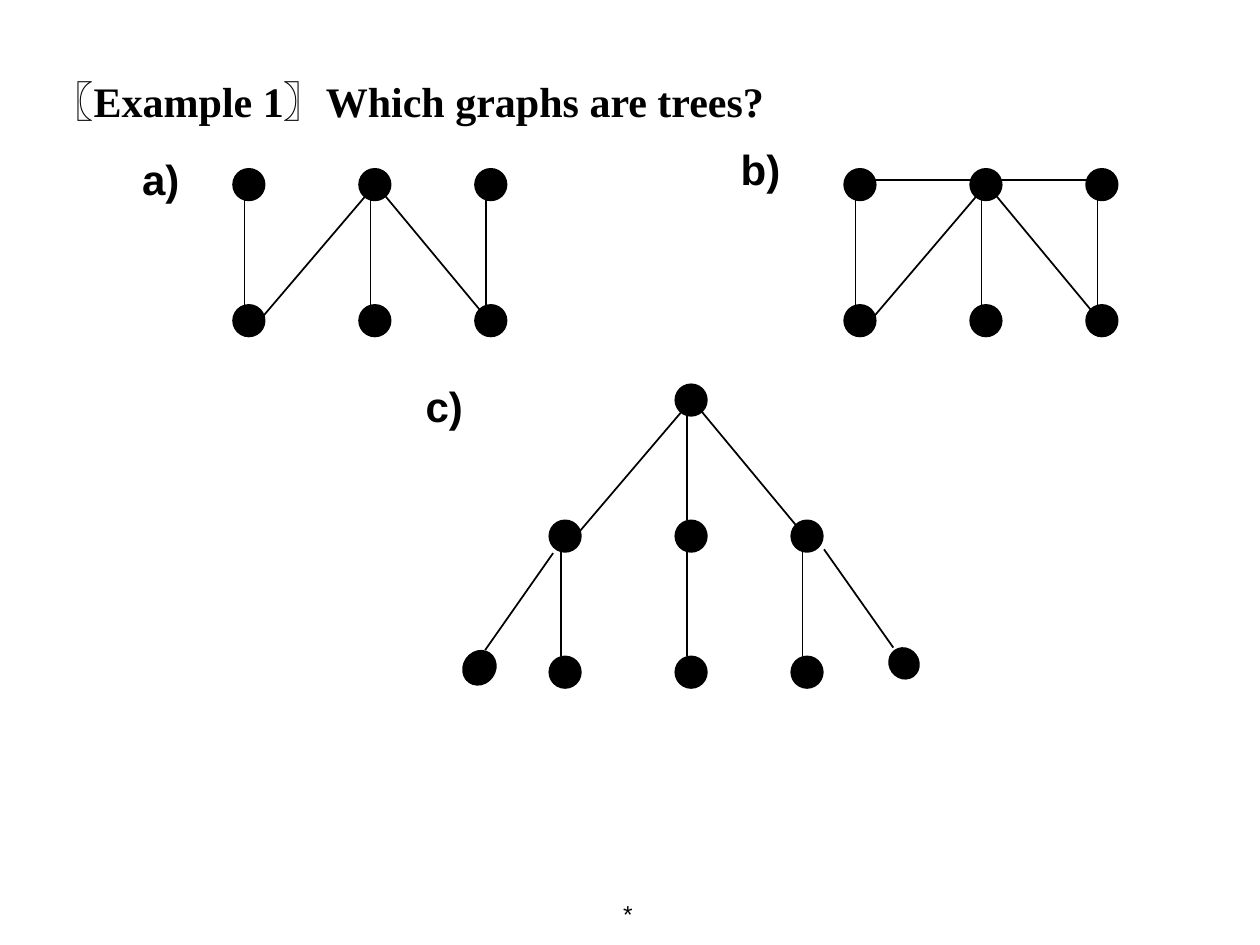
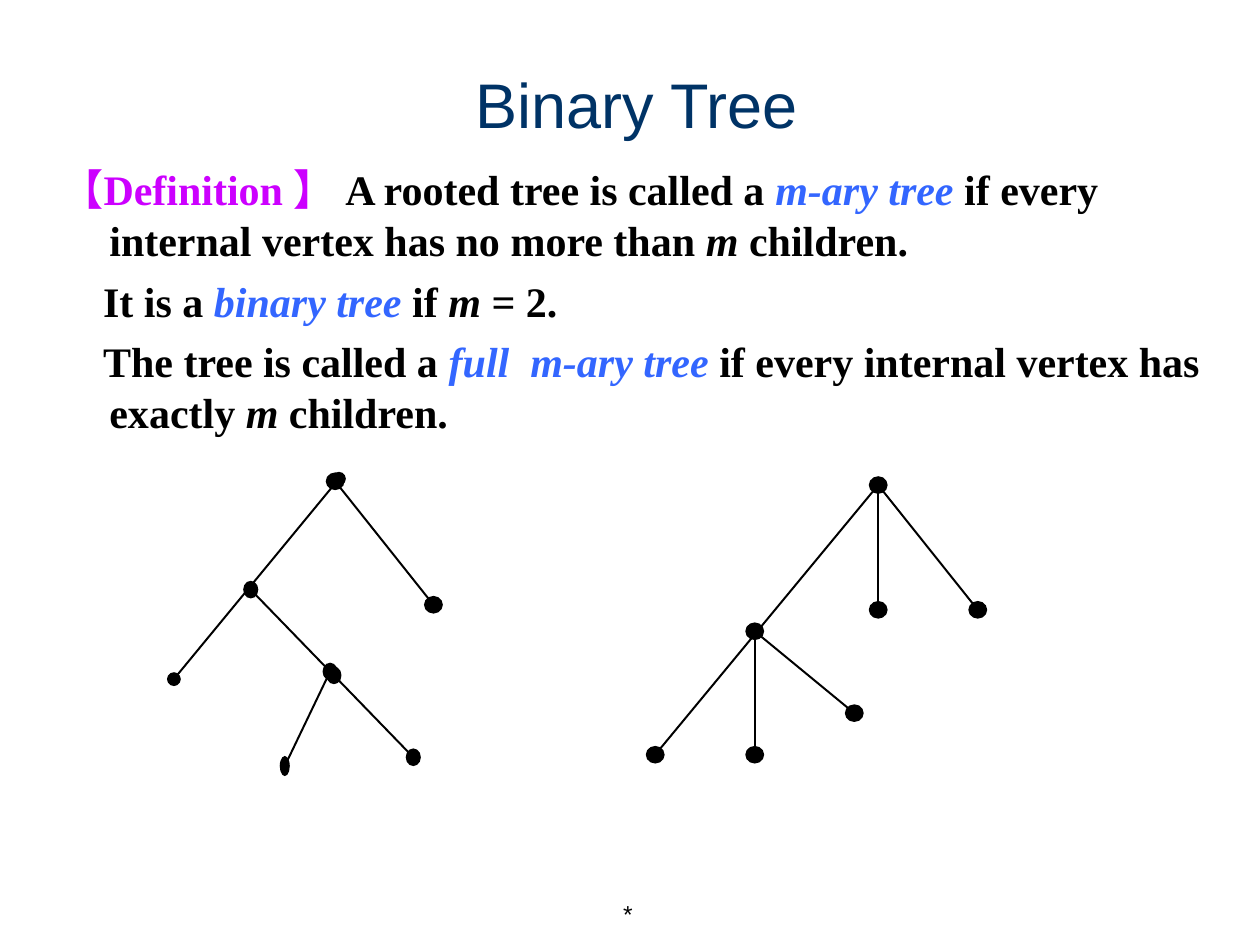
import pptx
import pptx.util
import pptx.dml.color
import pptx.enum.text
import pptx.enum.shapes
import lxml.etree

Inches = pptx.util.Inches
Pt = pptx.util.Pt
Align = pptx.enum.text.PP_ALIGN
Anchor = pptx.enum.text.MSO_ANCHOR
Fit = pptx.enum.text.MSO_AUTO_SIZE
Shape = pptx.enum.shapes.MSO_SHAPE
Line = pptx.enum.shapes.MSO_CONNECTOR

DRAW = "http://schemas.openxmlformats.org/drawingml/2006/main"
SANS, SERIF = "Arial", "Times New Roman"
BLACK, NAVY, PINK, BLUE = "000000", "003366", "CC00FF", "3366FF"
DOT = 0.25
COLS = (0, 1, 1.92)
STEP = 1.08


def paint(value):
    return pptx.dml.color.RGBColor.from_string(value)


def style(font, size, face, color=BLACK, bold=False, slant=False):
    font.size, font.name = Pt(size), face
    font.bold, font.italic = bold, slant
    font.color.rgb = paint(color)


def place(shape, left, top, width, height):
    shape.left, shape.top = Inches(left), Inches(top)
    shape.width, shape.height = Inches(width), Inches(height)


def write(slide, box, text, size, bold=False, align=Align.LEFT):
    frame = slide.shapes.add_textbox(*map(Inches, box)).text_frame
    frame.word_wrap = False
    frame.text = text
    frame.paragraphs[0].alignment = align
    style(frame.paragraphs[0].runs[0].font, size, SANS, bold=bold)
    return frame


def begin(deck, text, box, size, face, color, bold, align):
    slide = deck.slides.add_slide(deck.slide_layouts[5])
    title = slide.shapes.title
    place(title, *box)
    frame = title.text_frame
    frame.text = text
    frame.auto_size = Fit.NONE
    frame.word_wrap = True
    frame.vertical_anchor = Anchor.TOP
    frame.paragraphs[0].alignment = align
    style(frame.paragraphs[0].runs[0].font, size, face, color, bold)
    foot = write(slide, (4.45, 7, 0.67, 0.5), "*", 14, align=Align.RIGHT)
    foot.vertical_anchor = Anchor.MIDDLE
    return slide


class Sketch:
    def __init__(self, slide, left, top):
        self.shapes = slide.shapes.add_group_shape().shapes
        self.left, self.top = left, top

    def dot(self, x, y, width=DOT, height=DOT, edge=1, turn=0):
        oval = self.shapes.add_shape(
            Shape.OVAL, Inches(self.left + x), Inches(self.top + y),
            Inches(width), Inches(height))
        oval.shadow.inherit = False
        oval.rotation = turn
        oval.fill.solid()
        oval.fill.fore_color.rgb = paint(BLACK)
        if edge:
            oval.line.color.rgb = paint(BLACK)
            oval.line.width = Pt(edge)
        else:
            oval.line.fill.background()

    def link(self, start, end, width=1):
        (x1, y1), (x2, y2) = start, end
        line = self.shapes.add_connector(
            Line.STRAIGHT, Inches(self.left + x1), Inches(self.top + y1),
            Inches(self.left + x2), Inches(self.top + y2))
        line.line.color.rgb = paint(BLACK)
        line.line.width = Pt(width)
        lxml.etree.SubElement(line._element.spPr, f"{{{DRAW}}}effectLst")

    def drop(self, x, y):
        self.link((x + 0.09, y + DOT), (x + 0.09, y + STEP))

    def fork(self):
        self.link((1.17, 0.17), (2, 1.17))
        self.link((1.09, 0.17), (0.17, 1.25))


def comb(slide, left, top, bar=False):
    sketch = Sketch(slide, left, top)
    for x in COLS:
        sketch.drop(x, 0)
        for row in range(2):
            sketch.dot(x, row * STEP)
    sketch.fork()
    if bar:
        sketch.link((0.16, 0.09), (2, 0.09))


def crown(slide, left, top):
    sketch = Sketch(slide, left, top)
    sketch.dot(COLS[1], 0)
    sketch.drop(COLS[1], 0)
    sketch.fork()
    for x in COLS:
        sketch.drop(x, STEP)
        for row in (1, 2):
            sketch.dot(x, row * STEP)
    sketch.link((0.03, 1.34), (-0.51, 2.11))
    sketch.dot(-0.68, 2.11, 0.25, 0.28, turn=35.2)
    sketch.link((2.18, 1.31), (2.73, 2.09))
    sketch.dot(2.7, 2.09, 0.23, 0.25, turn=324.8)


def tree(slide, left, top, dots, links):
    sketch = Sketch(slide, left, top)
    for start, end in links:
        sketch.link(dots[start][:2], dots[end][:2], 1.13)
    for x, y, width, height in dots:
        sketch.dot(x - width / 2, y - height / 2, width, height, edge=0)


def prose(slide, box, parts):
    frame = slide.shapes.add_textbox(*map(Inches, box)).text_frame
    frame.word_wrap = True
    for index, (indent, runs) in enumerate(parts):
        para = frame.add_paragraph() if index else frame.paragraphs[0]
        if index:
            para.space_before = Pt(6)
        props = para._p.get_or_add_pPr()
        props.set("marL", str(Inches(0.38)))
        props.set("indent", str(Inches(indent)))
        for text, color, slant in runs:
            run = para.add_run()
            run.text = text
            style(run.font, 24, SERIF, color, True, slant)


def graphs(deck):
    slide = begin(deck, "〖Example 1〗Which graphs are trees?",
                  (0.31, 0.55, 9, 0.54), 24, SERIF, BLACK, True, Align.LEFT)
    comb(slide, 1.85, 1.34)
    comb(slide, 6.7, 1.34, bar=True)
    crown(slide, 4.36, 3.05)
    for text, left, top in (("a)", 1.03, 1.17), ("b)", 5.78, 1.09),
                            ("c)", 3.28, 2.97)):
        write(slide, (left, top, 0.7, 0.5), text, 24, bold=True)


def binary(deck):
    slide = begin(deck, "Binary Tree", (0.55, 0.47, 9, 0.77),
                  36, SANS, NAVY, False, Align.CENTER)
    prose(slide, (0.39, 1.25, 9.26, 2.28), (
        (-0.38, (("【Definition 】 ", PINK, False),
                 ("A rooted tree is called a ", BLACK, False),
                 ("m-ary tree ", BLUE, True),
                 ("if every internal vertex has no more than ", BLACK, False),
                 ("m", BLACK, True),
                 (" children.", BLACK, False))),
        (-0.05, (("It is a ", BLACK, False),
                 ("binary tree ", BLUE, True),
                 ("if ", BLACK, False),
                 ("m", BLACK, True),
                 (" = 2.", BLACK, False))),
        (-0.05, (("The tree is called a ", BLACK, False),
                 ("full  m-ary tree ", BLUE, True),
                 ("if every internal vertex has exactly ", BLACK, False),
                 ("m", BLACK, True),
                 (" children.", BLACK, False)))))
    small, wide, slim = (0.11, 0.11), (0.15, 0.14), (0.12, 0.14)
    spots = ((1.84, 0.07), (0.07, 2.21), (1.84, 1.06), (2.63, 1.06),
             (0.86, 1.23), (0.86, 2.21), (1.65, 1.88))
    tree(slide, 5.13, 3.78, [spot + wide for spot in spots],
         ((0, 1), (0, 2), (0, 3), (4, 5), (4, 6)))
    tree(slide, 1.33, 3.75,
         ((1.36, 0.05, *small), (0.05, 1.64, *small),
          (1.33, 0.07, *wide), (2.11, 1.05, *wide),
          (0.66, 0.93, *slim), (1.29, 1.58, *slim),
          (1.32, 1.61, *slim), (1.95, 2.26, *slim),
          (0.93, 2.33, 0.08, 0.16)),
         ((0, 1), (2, 3), (4, 5), (6, 7), (5, 8)))


def main():
    deck = pptx.Presentation()
    deck.slide_width, deck.slide_height = Inches(10), Inches(7.5)
    graphs(deck)
    binary(deck)
    deck.save("out.pptx")


if __name__ == "__main__":
    main()
